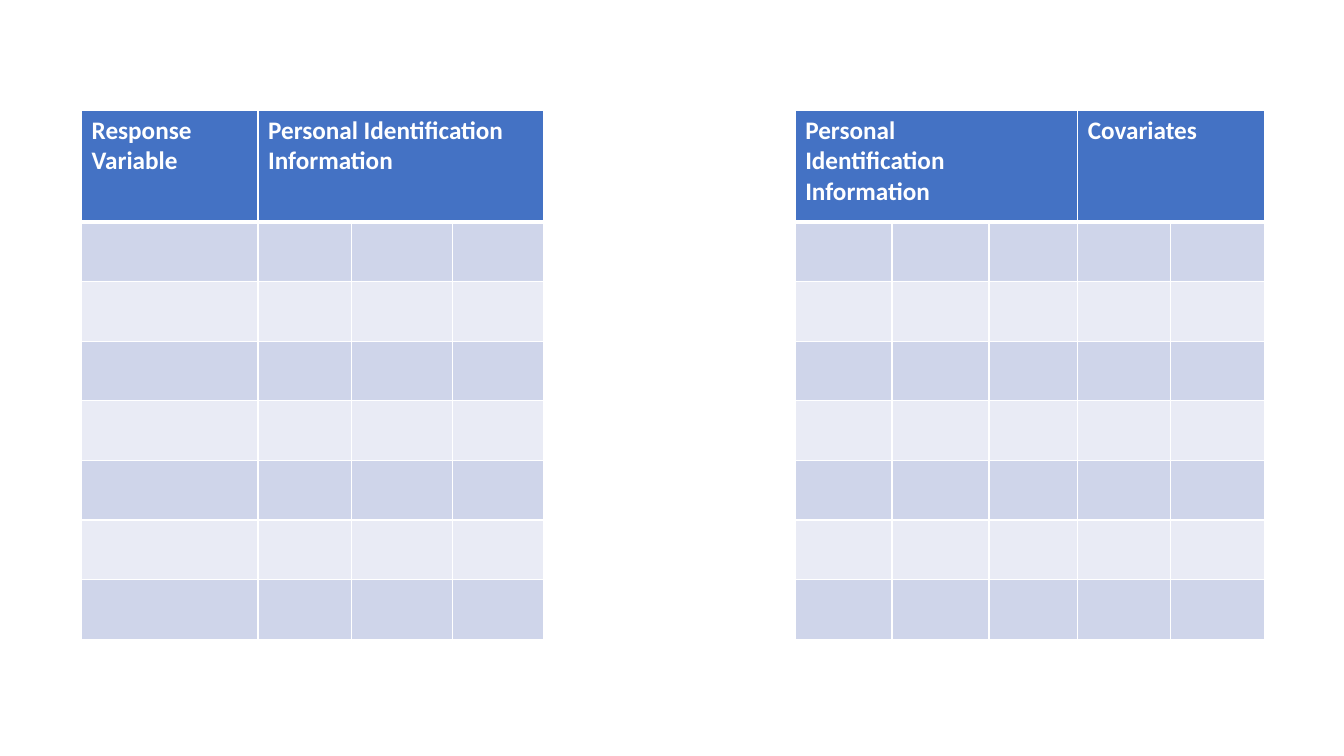
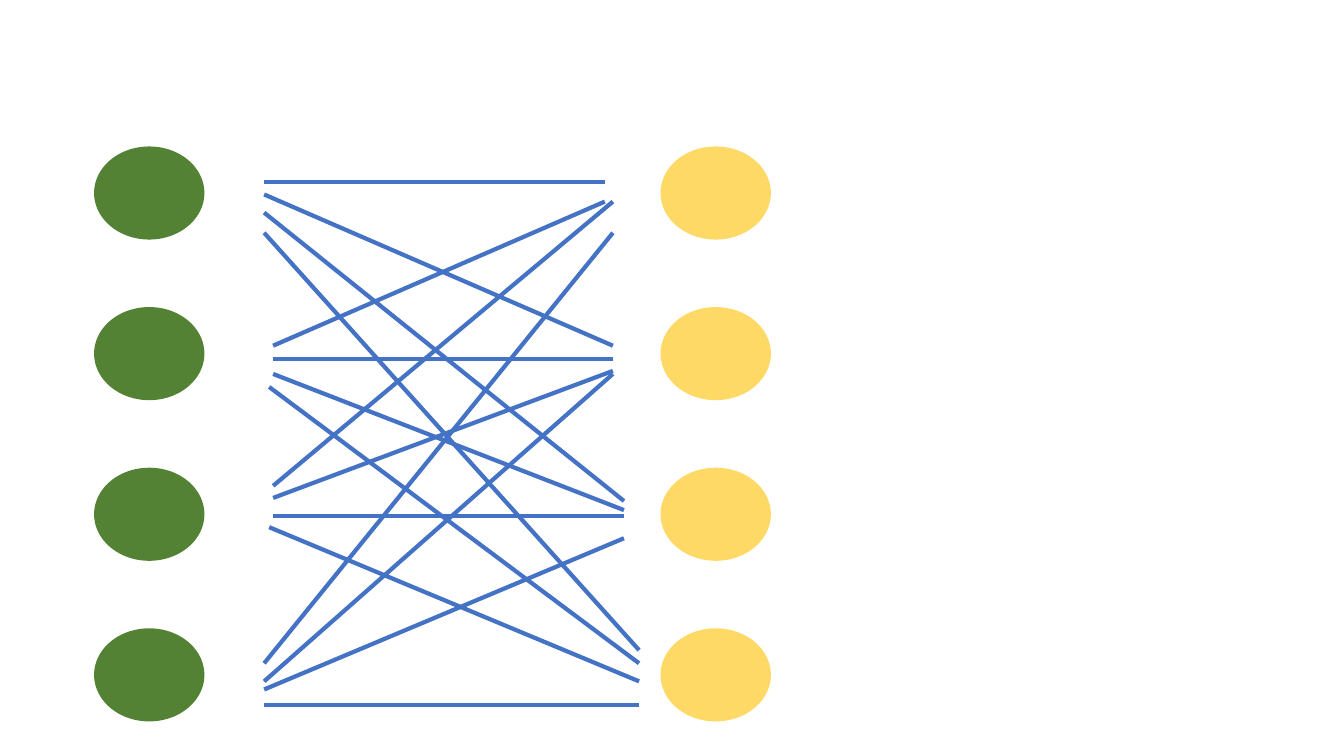
"""Two slides on record linkage: a pair of data tables and the candidate matches between records."""
from itertools import product

from lxml.etree import SubElement
from pptx import Presentation
from pptx.dml.color import RGBColor
from pptx.enum.shapes import MSO_CONNECTOR, MSO_SHAPE
from pptx.oxml.ns import qn
from pptx.util import Pt

COLORS = {
    "blue": "4472C4",
    "white": "FFFFFF",
    "band_dark": "CFD5EA",
    "band_light": "E9EBF5",
    "green": "548235",
    "yellow": "FFD966",
}
FONT = "Calibri"

HEADER_HEIGHT = 80
BODY_ROWS = 7

RECORDS = 4
RECORD_WIDTH, RECORD_HEIGHT = 77.8, 65.5

# yapf: disable
LINKS = [
    [(121, 25.2, 364.3, 25.2), (121, 33.8, 370.1, 27.1),
     (121, 46.8, 378, 23.3), (121, 61.2, 388.8, 15.1)],
    [(127.4, 27.1, 364.3, 38.9), (127.4, 36.5, 370.1, 36.5),
     (127.4, 47.3, 378, 29.8), (124.6, 56.6, 388.8, 24.5)],
    [(127.4, 12.5, 370.1, 38.9), (127.4, 21.1, 370.1, 45.1),
     (127.4, 34.1, 378, 34.1), (124.6, 42, 388.8, 37.4)],
    [(121, 24.5, 370.1, 61.2), (121, 37.4, 370.1, 47.3),
     (121, 43.2, 378, 49.9), (121, 54, 388.8, 54)],
]


def rgb(name):
    """Return the named colour."""
    return RGBColor.from_string(COLORS[name])


def style_cell(cell, color, top, bottom):
    """Give a cell white borders, with the top and bottom widths given, and a fill."""
    properties = cell._tc.get_or_add_tcPr()
    for side, width in (("L", 1), ("R", 1), ("T", top), ("B", bottom)):
        border = SubElement(properties, qn(f"a:ln{side}"), w=str(Pt(width)))
        paint = SubElement(border, qn("a:solidFill"))
        SubElement(paint, qn("a:srgbClr"), val=COLORS["white"])
    cell.fill.solid()
    cell.fill.fore_color.rgb = rgb(color)


def add_data_table(slide, left, top, height, widths, headings):
    """Draw an empty banded table under headings given as (text, columns spanned)."""
    table = slide.shapes.add_table(
        BODY_ROWS + 1, len(widths), Pt(left), Pt(top), Pt(sum(widths)), Pt(height)
    ).table
    for column, width in zip(table.columns, widths):
        column.width = Pt(width)
    for index, row in enumerate(table.rows):
        row.height = Pt((height - HEADER_HEIGHT) / BODY_ROWS if index else HEADER_HEIGHT)
        band = ("band_dark" if index % 2 else "band_light") if index else "blue"
        for cell in row.cells:
            style_cell(cell, band, 3 if index == 1 else 1, 1 if index else 3)

    first = 0
    for text, span in headings:
        heading = table.cell(0, first)
        if span > 1:
            heading.merge(table.cell(0, first + span - 1))
        heading.text = text
        for paragraph in heading.text_frame.paragraphs:
            font = paragraph.font
            font.name, font.size, font.bold = FONT, Pt(18), True
            font.color.rgb = rgb("white")
        first += span


def add_records(slide, left, top, pitch, color):
    """Draw a column of records as ellipses."""
    for index in range(RECORDS):
        record = slide.shapes.add_shape(
            MSO_SHAPE.OVAL, Pt(left), Pt(top + index * pitch),
            Pt(RECORD_WIDTH), Pt(RECORD_HEIGHT)
        )
        record.shadow.inherit = False
        record.fill.solid()
        record.fill.fore_color.rgb = rgb(color)
        record.line.color.rgb = rgb(color)
        record.line.width = Pt(1)


def add_links(slide, left, top, pitch):
    """Link every left record to every right one, with heights taken from each record's top."""
    for source, target in product(range(RECORDS), repeat=2):
        start_x, start_y, end_x, end_y = LINKS[source][target]
        link = slide.shapes.add_connector(
            MSO_CONNECTOR.STRAIGHT,
            Pt(left + start_x), Pt(top + source * pitch + start_y),
            Pt(left + end_x), Pt(top + target * pitch + end_y)
        )
        link.line.color.rgb = rgb("blue")
        link.line.width = Pt(3)
        SubElement(link._element.spPr, qn("a:effectLst"))


def build_tables_slide(slide, top, height):
    """Place the response table and the covariate table side by side."""
    identification = "Personal Identification\nInformation"
    add_data_table(slide, 58.3, top, height, [126, 67, 72, 64.8],
                   [("Response\nVariable", 1), (identification, 3)])
    add_data_table(slide, 568, top, height, [69.2, 69.2, 63.4, 66.3, 67],
                   [(identification.replace(" ", "\n"), 3), ("Covariates", 2)])


def build_matching_slide(slide, left, top, width, height):
    """Place two columns of records in the box, with all their links between."""
    pitch = (height - RECORD_HEIGHT) / (RECORDS - 1)
    add_records(slide, left, top, pitch, "green")
    add_records(slide, left + width - RECORD_WIDTH, top, pitch, "yellow")
    add_links(slide, left, top, pitch)


def main():
    """Build and save the presentation."""
    presentation = Presentation()
    presentation.slide_width, presentation.slide_height = Pt(960), Pt(540)
    blank = presentation.slide_layouts[6]
    build_tables_slide(presentation.slides.add_slide(blank), 78.7, 378)
    build_matching_slide(presentation.slides.add_slide(blank), 67.7, 105.1, 482.4, 409.7)
    presentation.save("out.pptx")


main()
